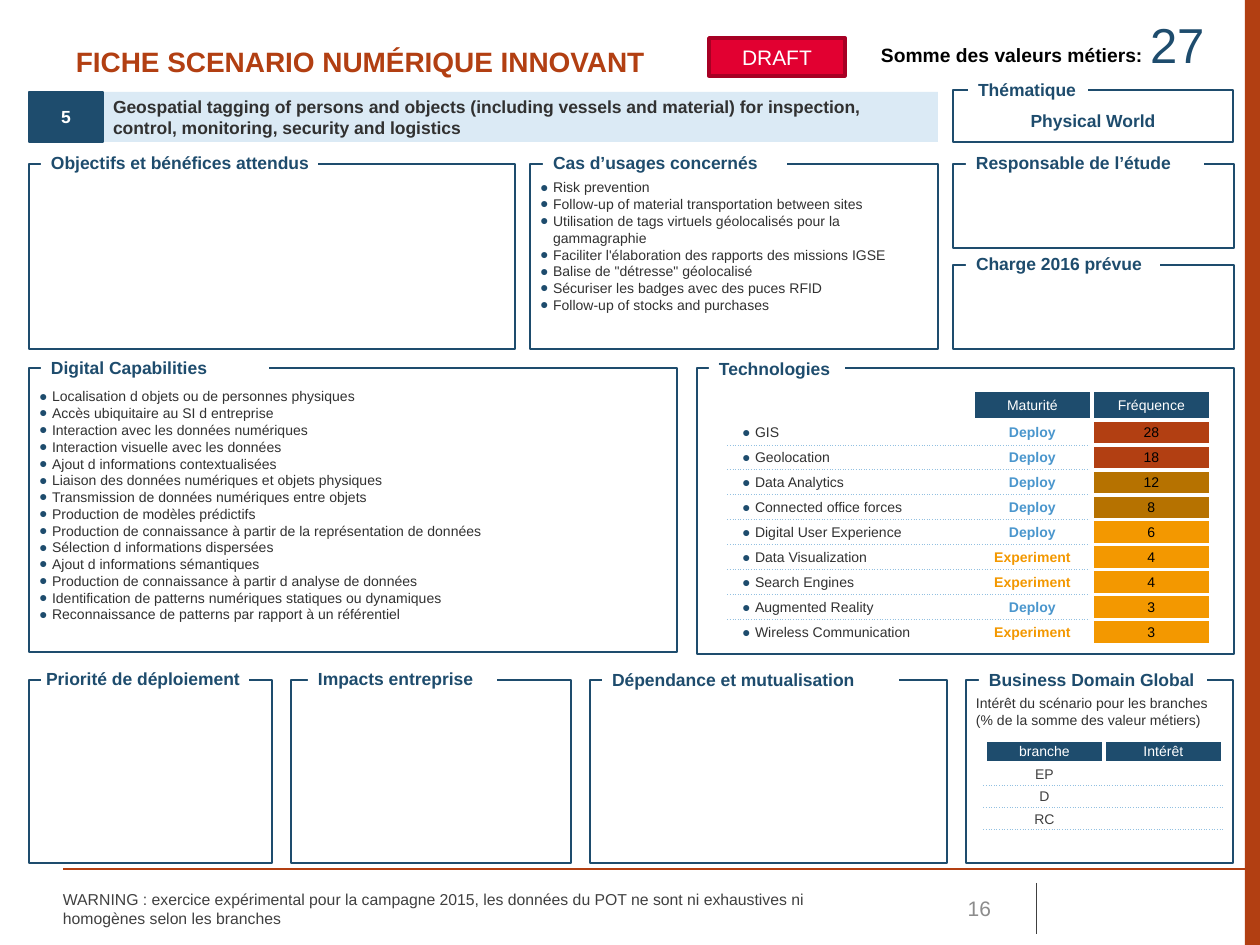
import dataclasses

import lxml.etree
import pptx
import pptx.dml.color
import pptx.enum.dml
import pptx.enum.shapes
import pptx.enum.text
import pptx.oxml.ns
import pptx.table
import pptx.util

ALIGN = pptx.enum.text.PP_ALIGN
ANCHOR = pptx.enum.text.MSO_ANCHOR
RECTANGLE = pptx.enum.shapes.MSO_SHAPE.RECTANGLE
EMU_PER_PX = 914400 / 126


@dataclasses.dataclass(frozen=True)
class Theme:
    font: str = "Arial"
    navy: str = "1E4C6D"
    pale: str = "DBEAF5"
    sky: str = "4A96CD"
    dots: str = "92C0E1"
    rust: str = "B23F12"
    ochre: str = "B67200"
    orange: str = "F39800"
    red: str = "E20031"
    dark_red: str = "A70024"
    white: str = "FFFFFF"
    black: str = "000000"
    ink: str = "313131"
    gray: str = "404040"
    light_gray: str = "8C8C8C"
    body: int = 8
    note: int = 9
    heading: int = 10
    total: int = 11
    badge: int = 12
    title: int = 16
    figure: int = 28


THEME = Theme()


def px(length):
    return pptx.util.Emu(round(length * EMU_PER_PX))


def rgb(color):
    return pptx.dml.color.RGBColor.from_string(color)


def add_element(parent, tag, **attributes):
    return lxml.etree.SubElement(parent, pptx.oxml.ns.qn(tag), **attributes)


def add_bullet(paragraph):
    properties = paragraph._p.get_or_add_pPr()
    properties.set("marL", str(px(13)))
    properties.set("indent", str(-px(13)))
    add_element(add_element(properties, "a:buClr"), "a:srgbClr", val=THEME.navy)
    add_element(properties, "a:buFont", typeface=THEME.font)
    add_element(properties, "a:buChar", char="●")


def set_text(holder, *lines, size=THEME.body, color=THEME.ink, bold=False, align=ALIGN.LEFT,
             anchor=ANCHOR.TOP, insets=(10, 5, 10, 5), bullet=False, wrap=True):
    """Write lines into a shape or a table cell; insets are left, top, right, bottom."""
    frame = holder.text_frame
    is_cell = isinstance(holder, pptx.table._Cell)
    layout = holder if is_cell else frame
    layout.margin_left, layout.margin_top, layout.margin_right, layout.margin_bottom = map(px, insets)
    layout.vertical_anchor = anchor
    if not is_cell:
        frame.word_wrap = wrap
    for index, line in enumerate(lines):
        paragraph = frame.add_paragraph() if index else frame.paragraphs[0]
        paragraph.alignment = align
        if bullet:
            add_bullet(paragraph)
        if not line:
            paragraph._p.get_or_add_endParaRPr().set("sz", str(size * 100))
            continue
        run = paragraph.add_run()
        run.text = line
        run.font.name, run.font.size, run.font.bold = THEME.font, pptx.util.Pt(size), bold
        run.font.color.rgb = rgb(color)


def add_box(slide, box, fill=None, line=None, width=0.75):
    shape = slide.shapes.add_shape(RECTANGLE, *map(px, box))
    shape.shadow.inherit = False
    if fill:
        shape.fill.solid()
        shape.fill.fore_color.rgb = rgb(fill)
    else:
        shape.fill.background()
    if line:
        shape.line.color.rgb = rgb(line)
        shape.line.width = pptx.util.Pt(width)
    else:
        shape.line.fill.background()
    return shape


def add_label(slide, box, text, **text_format):
    set_text(slide.shapes.add_textbox(*map(px, box)), text, **text_format)


def add_line(slide, start, end, color, width):
    connector = slide.shapes.add_connector(
        pptx.enum.shapes.MSO_CONNECTOR.STRAIGHT, *map(px, start + end))
    connector.line.color.rgb = rgb(color)
    connector.line.width = pptx.util.Pt(width)
    add_element(connector._element.spPr, "a:effectLst")


def add_panel(slide, box, title, label, title_inset=10, lines=(), **text_format):
    """Outlined box with a title over its top edge; label is relative to the box."""
    frame = add_box(slide, box, line=THEME.navy)
    if lines:
        set_text(frame, *lines, **text_format)
    dx, dy, width, height = label
    tab = add_box(slide, (box[0] + dx, box[1] + dy, width, height), fill=THEME.white)
    # No right inset, so that the title keeps to one line
    set_text(tab, title, size=THEME.heading, color=THEME.navy, bold=True,
             anchor=ANCHOR.MIDDLE, insets=(title_inset, 5, 0, 5))


def style_cell(cell, fill=None, dotted_top=False, dotted_bottom=False):
    properties = cell._tc.get_or_add_tcPr()
    for side, dotted in (("L", False), ("R", False), ("T", dotted_top), ("B", dotted_bottom)):
        width = pptx.util.Pt(0.5 if dotted else 2.25)
        border = add_element(properties, f"a:ln{side}", w=str(width))
        color = THEME.dots if dotted else THEME.white
        add_element(add_element(border, "a:solidFill"), "a:srgbClr", val=color)
        add_element(border, "a:prstDash", val="sysDot" if dotted else "solid")
    if fill:
        cell.fill.solid()
        cell.fill.fore_color.rgb = rgb(fill)
    else:
        cell.fill.background()


def add_grid(slide, origin, widths, heights, header, rows, closing_dots):
    """Table whose body cells are (text, text format, fill); filled cells have white borders."""
    table = slide.shapes.add_table(
        len(heights), len(widths), *map(px, origin + (sum(widths), sum(heights)))).table
    table.first_row = table.horz_banding = False
    for column, width in zip(table.columns, widths):
        column.width = px(width)
    for row, height in zip(table.rows, heights):
        row.height = px(height)
    common = dict(anchor=ANCHOR.MIDDLE, align=ALIGN.CENTER, insets=(1, 1, 1, 0))
    for column, text in enumerate(header):
        cell = table.cell(0, column)
        set_text(cell, text, **common | dict(color=THEME.white))
        style_cell(cell, THEME.navy if text else THEME.white)
    for row, values in enumerate(rows, 1):
        for column, (text, text_format, fill) in enumerate(values):
            cell = table.cell(row, column)
            set_text(cell, text, **common | text_format)
            style_cell(cell, fill, dotted_top=not fill and row > 1,
                       dotted_bottom=not fill and (row < len(rows) or closing_dots))


def add_header(slide, left, top):
    add_label(slide, (left + 63, top + 39, 640, 50), "FICHE SCENARIO NUMÉRIQUE INNOVANT",
              size=THEME.title, color=THEME.rust, bold=True, insets=(13, 6, 13, 6))
    add_label(slide, (left + 869, top + 37, 300, 36), "Somme des valeurs métiers:",
              size=THEME.total, color=THEME.black, bold=True, insets=(12, 6, 12, 6))
    add_label(slide, (left + 1138, top + 8, 80, 72), "27", size=THEME.figure,
              color=THEME.navy, insets=(12, 6, 12, 6), wrap=False)
    draft = add_box(slide, (left + 709, top + 38, 136, 38), THEME.red, THEME.dark_red, 2)
    set_text(draft, "DRAFT", size=THEME.badge, color=THEME.white, align=ALIGN.CENTER,
             anchor=ANCHOR.MIDDLE)
    # Scenario number and name
    banner = dict(size=THEME.heading, bold=True, anchor=ANCHOR.MIDDLE)
    name = add_box(slide, (left + 103, top + 92, 835, 50), THEME.pale)
    set_text(name, "Geospatial tagging of persons and objects (including vessels and material) "
             "for inspection, control, monitoring, security and logistics", **banner)
    number = add_box(slide, (left + 29, top + 92, 74, 50), THEME.navy, THEME.navy)
    set_text(number, "5", color=THEME.white, align=ALIGN.CENTER, **banner)


def add_technologies(slide, box):
    add_panel(slide, box, "Technologies", (12, -11, 136, 24))
    maturity_colors = {"Deploy": THEME.sky, "Experiment": THEME.orange}
    technologies = [
        ("GIS", "Deploy", 28), ("Geolocation", "Deploy", 18), ("Data Analytics", "Deploy", 12),
        ("Connected office forces", "Deploy", 8), ("Digital User Experience", "Deploy", 6),
        ("Data Visualization", "Experiment", 4), ("Search Engines", "Experiment", 4),
        ("Augmented Reality", "Deploy", 3), ("Wireless Communication", "Experiment", 3)]
    rows = []
    for name, maturity, count in technologies:
        heat = THEME.rust if count > 12 else THEME.ochre if count > 6 else THEME.orange
        rows.append([
            (name, dict(bullet=True, align=ALIGN.LEFT, insets=(13, 1, 1, 0)), None),
            (maturity, dict(color=maturity_colors[maturity], bold=True), None),
            (str(count), dict(color=THEME.black), heat)])
    add_grid(slide, (box[0] + 32, box[1] + 22), (244, 119, 119), [30] + [25] * len(rows),
             ("", "Maturité", "Fréquence"), rows, closing_dots=False)


def add_business_domain(slide, box):
    add_panel(slide, box, "Business Domain Global", (13, -16, 228, 30), insets=(10, 15, 10, 5),
              lines=["Intérêt du scénario pour les branches (% de la somme des valeur métiers)"])
    rows = [[(branch, dict(color=THEME.gray), None), ("", {}, None)] for branch in ("EP", "D", "RC")]
    add_grid(slide, (box[0] + 19, box[1] + 60), (119, 119), (23, 22, 23, 22),
             ("branche", "Intérêt"), rows, closing_dots=True)


def add_panels(slide):
    add_panel(slide, (29, 164, 486, 185), "Objectifs et bénéfices attendus", (12, -15, 277, 28))
    add_panel(slide, (530, 164, 408, 185), "Cas d’usages concernés", (13, -15, 244, 28),
              bullet=True, insets=(10, 15, 10, 5), lines=[
                  "Risk prevention", "Follow-up of material transportation between sites",
                  "Utilisation de tags virtuels géolocalisés pour la gammagraphie",
                  "Faciliter l'élaboration des rapports des missions IGSE",
                  'Balise de "détresse" géolocalisé', "Sécuriser les badges avec des puces RFID",
                  "Follow-up of stocks and purchases"])
    add_panel(slide, (29, 368, 648, 284), "Digital Capabilities", (12, -14, 228, 28),
              bullet=True, insets=(10, 20, 10, 5), lines=[
                  "Localisation d objets ou de personnes physiques",
                  "Accès ubiquitaire au SI d entreprise", "Interaction avec les données numériques",
                  "Interaction visuelle avec les données", "Ajout d informations contextualisées",
                  "Liaison des données numériques et objets physiques",
                  "Transmission de données numériques entre objets",
                  "Production de modèles prédictifs",
                  "Production de connaissance à partir de la représentation de données",
                  "Sélection d informations dispersées", "Ajout d informations sémantiques",
                  "Production de connaissance à partir d analyse de données",
                  "Identification de patterns numériques statiques ou dynamiques",
                  "Reconnaissance de patterns par rapport à un référentiel"])
    add_technologies(slide, (697, 368, 537, 286))
    # Right column
    add_panel(slide, (953, 90, 280, 52), "Thématique", (15, -14, 120, 28),
              lines=["Physical World"], size=THEME.heading, color=THEME.navy, bold=True,
              align=ALIGN.CENTER, anchor=ANCHOR.MIDDLE, insets=(10, 15, 10, 5))
    add_panel(slide, (953, 164, 281, 84), "Responsable de l’étude", (13, -15, 238, 28))
    add_panel(slide, (953, 265, 281, 84), "Charge 2016 prévue", (13, -15, 194, 28))
    # Bottom row
    add_panel(slide, (29, 680, 243, 183), "Priorité de déploiement", (12, -15, 208, 28), 5)
    add_panel(slide, (291, 680, 280, 183), "Impacts entreprise", (17, -15, 189, 28))
    add_panel(slide, (590, 680, 357, 183), "Dépendance et mutualisation", (12, -14, 297, 28))
    add_business_domain(slide, (966, 680, 267, 183))


def add_footer(slide, left, top):
    add_line(slide, (left, top), (left + 1197, top), THEME.rust, 0.75)
    add_line(slide, (left + 973, top + 14), (left + 973, top + 65), THEME.gray, 0.5)
    add_label(slide, (left + 840, top + 14, 100, 51), "16", size=THEME.badge,
              color=THEME.light_gray, align=ALIGN.RIGHT, anchor=ANCHOR.MIDDLE, insets=(12, 6, 12, 6))
    add_label(slide, (left, top + 14, 766, 51),
              "WARNING : exercice expérimental pour la campagne 2015, les données du POT "
              "ne sont ni exhaustives ni homogènes selon les branches",
              size=THEME.note, color=THEME.gray, anchor=ANCHOR.MIDDLE, insets=(0, 6, 12, 6))


def main():
    presentation = pptx.Presentation()
    presentation.slide_width, presentation.slide_height = px(1260), px(945)
    slide = presentation.slides.add_slide(presentation.slide_layouts[6])
    add_box(slide, (1245, 0, 15, 945), THEME.rust)
    add_footer(slide, 63, 869)
    add_header(slide, 0, 0)
    add_panels(slide)
    presentation.save("out.pptx")


if __name__ == "__main__":
    main()
